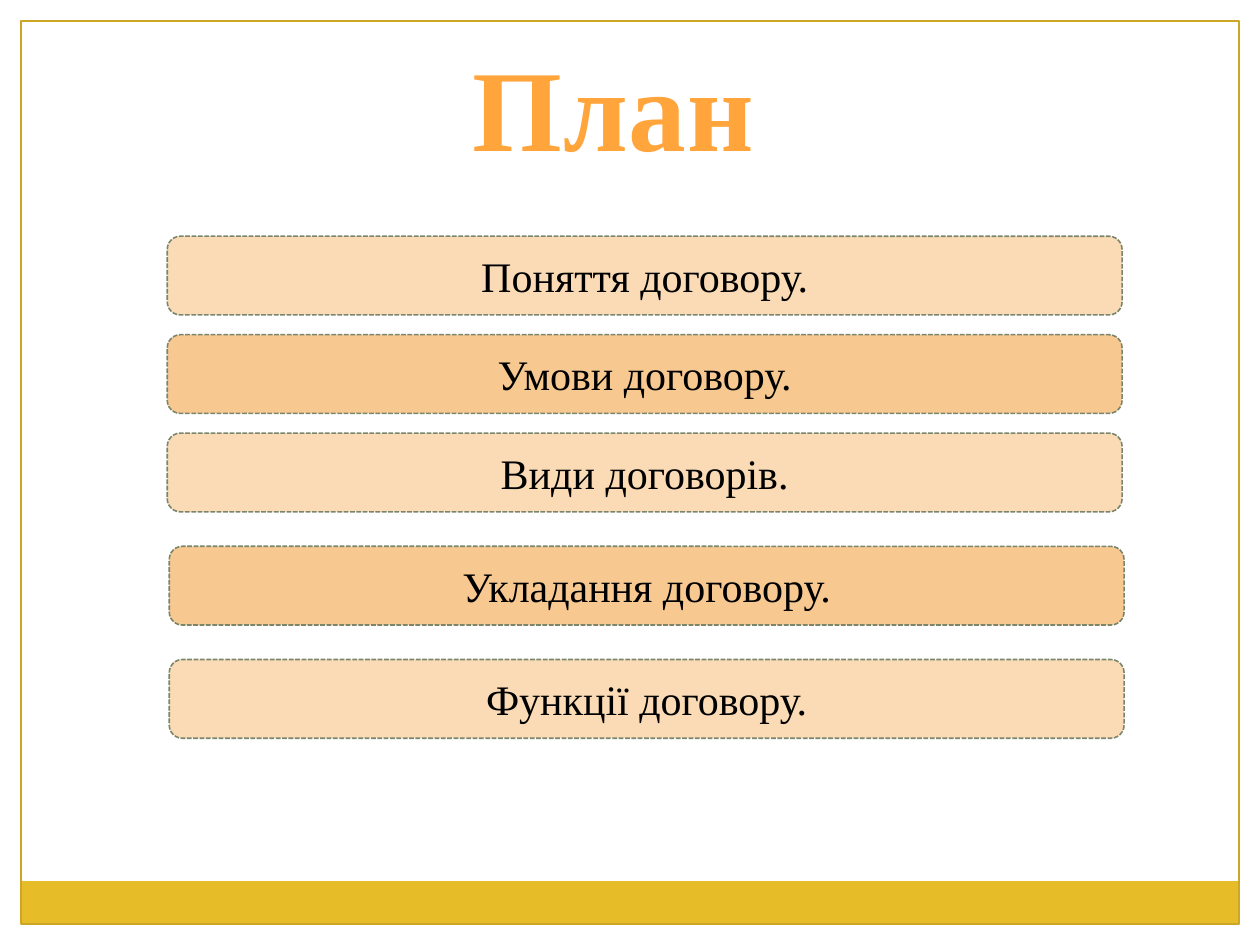
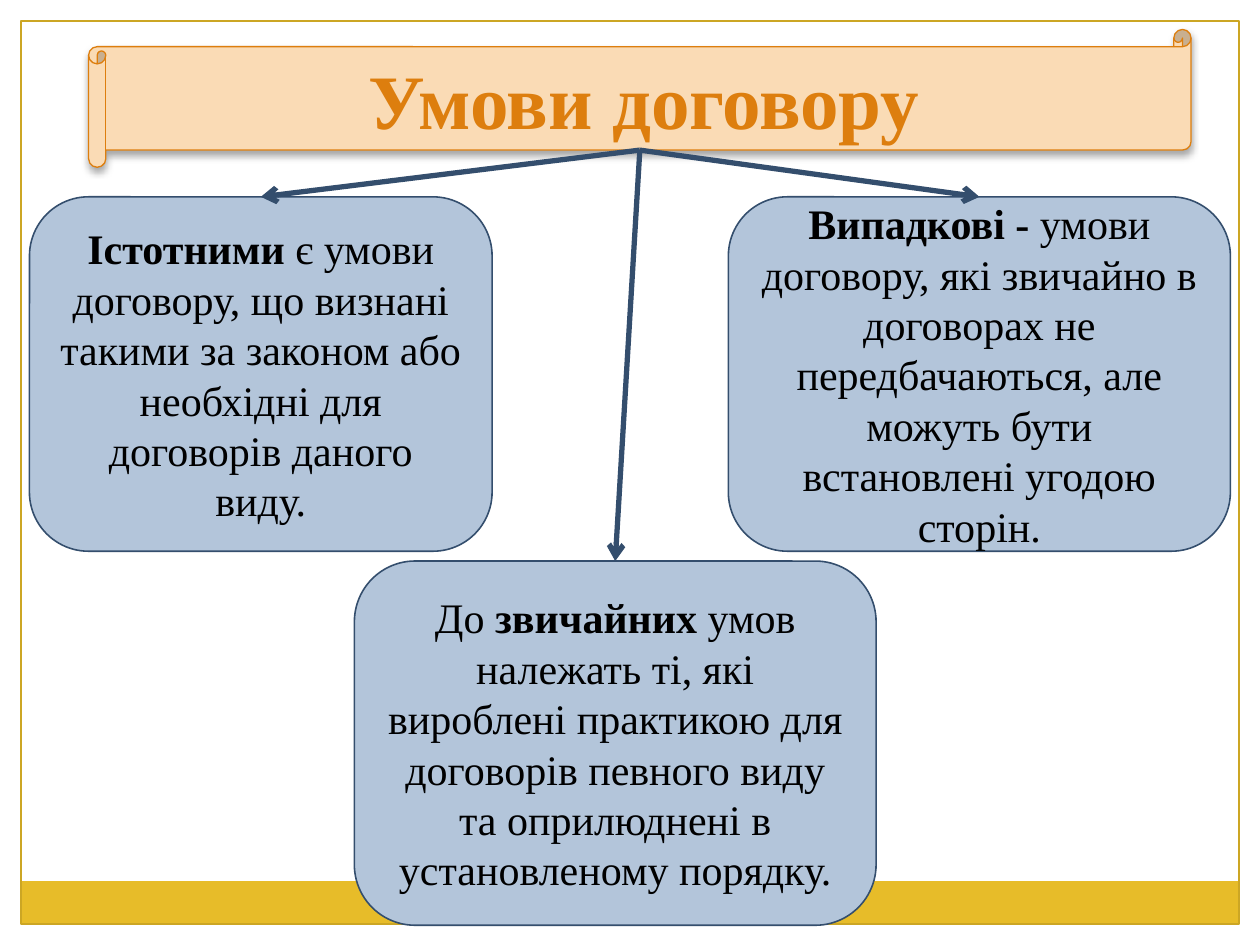
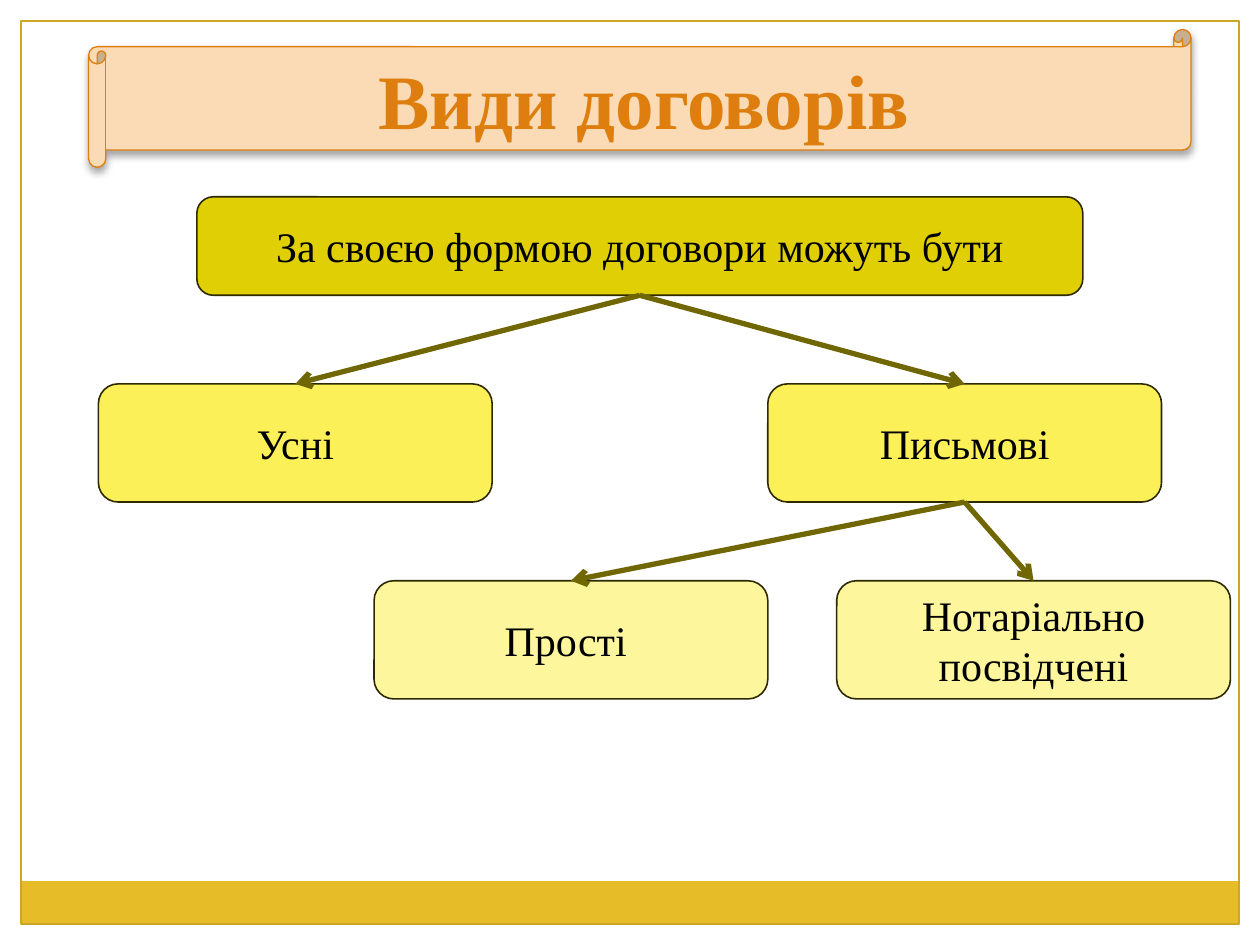
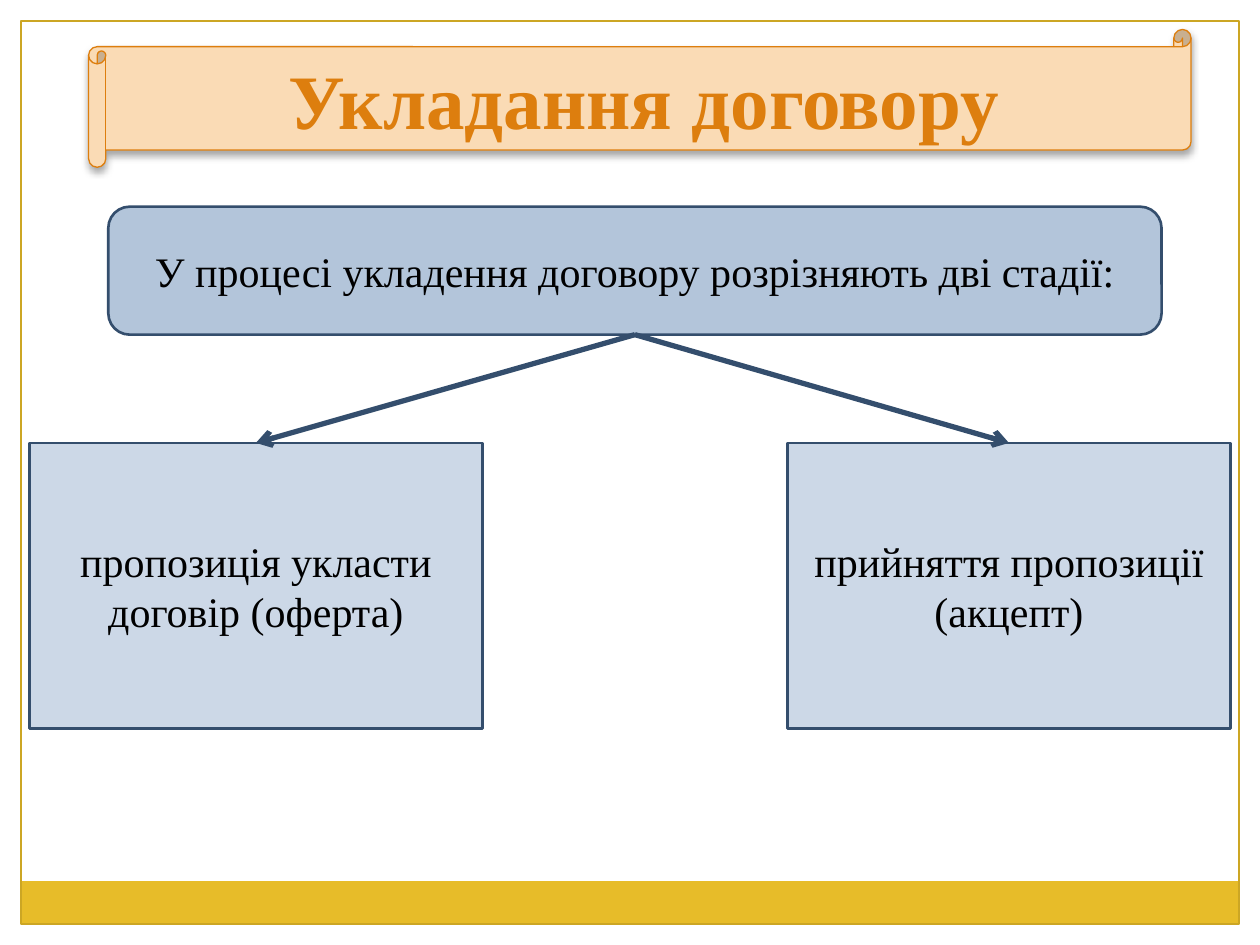
from dataclasses import dataclass

from lxml.etree import SubElement
from pptx import Presentation
from pptx.dml.color import RGBColor
from pptx.enum.dml import MSO_LINE
from pptx.enum.shapes import MSO_CONNECTOR, MSO_SHAPE as SHAPE
from pptx.enum.text import MSO_ANCHOR, MSO_AUTO_SIZE, PP_ALIGN
from pptx.oxml.ns import qn
from pptx.util import Inches, Pt

COLUMNS, ROWS = 128, 96
UNIT = Inches(10) // COLUMNS


@dataclass(frozen=True)
class Theme:
    """Colours, font and type sizes shared by all slides."""
    font: str = "Times New Roman"
    plan_size: float = 66
    title_size: float = 44
    body_size: float = 24
    thin: float = 0.75
    fine: float = 0.9
    medium: float = 1.5
    thick: float = 3
    black: str = "000000"
    white: str = "FFFFFF"
    band: str = "E7BC29"
    border: str = "CCA624"
    plan_top: str = "FFA53B"
    plan_bottom: str = "D3770B"
    peach: str = "FADBB5"
    apricot: str = "F8C891"
    sage: str = "7A866C"
    orange: str = "DD7E0E"
    blue: str = "B3C5DA"
    pale_blue: str = "CCD8E7"
    navy: str = "344E6D"
    gold: str = "DFCF04"
    yellow: str = "FCF059"
    pale_yellow: str = "FDF69C"
    olive: str = "706702"
    dark_olive: str = "2D2901"


@dataclass(frozen=True)
class Box:
    """A region measured in grid columns and rows."""
    left: float
    top: float
    width: float
    height: float

    def area(self, left, top, width, height):
        """Return a box placed relative to this one."""
        return Box(self.left + left, self.top + top, width, height)

    def emu(self):
        """Return left, top, width and height as slide lengths."""
        return [round(n * UNIT) for n in (self.left, self.top, self.width, self.height)]


THEME = Theme()
PAGE = Box(0, 0, COLUMNS, ROWS)
HEADING = Box(9, 3, 112, 14)
BODY = Box(3, 20, 122, 74)


def rgb(value):
    """Turn a hex string into a colour."""
    return RGBColor.from_string(value)


def write(shape, text, size=THEME.body_size, color=THEME.black, bold=False):
    """Write centred text, given as a string or as (text, bold) runs."""
    frame = shape.text_frame
    frame.word_wrap = True
    frame.vertical_anchor = MSO_ANCHOR.MIDDLE
    paragraph = frame.paragraphs[0]
    paragraph.alignment = PP_ALIGN.CENTER
    for words, strong in [(text, bold)] if isinstance(text, str) else text:
        run = paragraph.add_run()
        run.text = words
        run.font.name, run.font.size, run.font.bold = THEME.font, Pt(size), strong
        run.font.color.rgb = rgb(color)
    return paragraph.runs


def panel(slide, box, kind=SHAPE.ROUNDED_RECTANGLE, fill=None, line=None,
          weight=THEME.fine, dash=None):
    """Add a preset shape with the given fill and outline."""
    shape = slide.shapes.add_shape(kind, *box.emu())
    shape.shadow.inherit = False
    if fill:
        shape.fill.solid()
        shape.fill.fore_color.rgb = rgb(fill)
    else:
        shape.fill.background()
    if line:
        shape.line.color.rgb = rgb(line)
        shape.line.width = Pt(weight)
        if dash:
            shape.line.dash_style = dash
    else:
        shape.line.fill.background()
    return shape


def card(slide, box, text, **look):
    """Add a panel holding body text."""
    shape = panel(slide, box, **look)
    write(shape, text)
    return shape


def arrow(slide, parent, child, color, lift=0):
    """Link the bottom of one shape to the top of another."""
    link = slide.shapes.add_connector(MSO_CONNECTOR.STRAIGHT, 0, 0, 0, 0)
    link.begin_connect(parent, 2)
    link.end_connect(child, 0)
    link.begin_y = link.begin_y - round(lift * UNIT)
    link.line.color.rgb = rgb(color)
    link.line.width = Pt(THEME.thick)
    properties = link.element.spPr
    SubElement(properties.find(qn("a:ln")), qn("a:tailEnd"), type="arrow")
    SubElement(properties, qn("a:effectLst"))


def page_frame(slide, layout, box):
    """Build the margins, bottom band and border, and move them to the layout."""
    for holder in list(layout.placeholders):
        layout.shapes.element.remove(holder.element)
    margin, band = 2.13, 4.35
    inner_width, inner_height = box.width - 2 * margin, box.height - 2 * margin
    margins = [
        box.area(0, 0, box.width, margin),
        box.area(box.width - margin, 0, margin, box.height),
        box.area(0, 0, margin, box.height),
    ]
    pieces = [panel(slide, edge, SHAPE.RECTANGLE, THEME.white) for edge in margins]
    pieces.append(panel(
        slide, box.area(margin, box.height - margin - band, inner_width, band),
        SHAPE.RECTANGLE, THEME.band))
    pieces.append(panel(
        slide, box.area(margin, margin, inner_width, inner_height),
        SHAPE.RECTANGLE, line=THEME.border, weight=THEME.thin))
    for piece in pieces:
        layout.shapes.element.append(piece.element)


def scroll_title(slide, box, text):
    """Add the scroll that carries a slide's title."""
    scroll = panel(slide, box, SHAPE.HORIZONTAL_SCROLL, THEME.peach, THEME.orange, THEME.thin)
    effects = scroll.element.spPr.find(qn("a:effectLst"))
    shadow = SubElement(effects, qn("a:outerShdw"), blurRad=str(Pt(4)), dist=str(Pt(2)),
                        dir="5400000", rotWithShape="0")
    shade = SubElement(shadow, qn("a:srgbClr"), val=THEME.black)
    SubElement(shade, qn("a:alpha"), val="35000")
    write(scroll, text, size=THEME.title_size, color=THEME.orange, bold=True)
    letters = scroll.element.find(".//" + qn("a:rPr"))
    outline = SubElement(letters, qn("a:ln"), w=str(Pt(1)))
    SubElement(SubElement(outline, qn("a:solidFill")), qn("a:srgbClr"), val=THEME.dark_olive)
    letters.insert(0, outline)
    return scroll


def plan_title(slide, box, text):
    """Add the large gradient heading of the plan."""
    heading = slide.shapes.add_textbox(*box.emu())
    run = write(heading, text, size=THEME.plan_size, bold=True)[0]
    heading.text_frame.word_wrap = False
    heading.text_frame.auto_size = MSO_AUTO_SIZE.SHAPE_TO_FIT_TEXT
    heading.text_frame.vertical_anchor = MSO_ANCHOR.TOP
    fill = run.font.fill
    fill.gradient()
    fill.gradient_angle = 270
    stops = zip(fill.gradient_stops, (0.25, 1), (THEME.plan_top, THEME.plan_bottom))
    for stop, position, color in stops:
        stop.position = position
        stop.color.rgb = rgb(color)
    heading.element.find(".//" + qn("a:rPr")).set("spc", "50")


def plan(slide, box):
    """List the topics as bars in alternating colours."""
    plan_title(slide, box.area(46.5, 3, 31.6, 15.5), "План")
    topics = [
        (17, 24, "Поняття договору."),
        (17, 34, "Умови договору."),
        (17, 44, "Види договорів."),
        (17.2, 55.5, "Укладання договору."),
        (17.2, 67, "Функції договору."),
    ]
    for index, (left, top, topic) in enumerate(topics):
        card(slide, box.area(left, top, 97, 8), topic,
             fill=(THEME.peach, THEME.apricot)[index % 2],
             line=THEME.sage, dash=MSO_LINE.SQUARE_DOT)


def terms(slide, box):
    """Show the three kinds of contract terms below the title."""
    title = scroll_title(slide, HEADING, "Умови договору")
    essential = [
        ("Істотними ", True),
        ("є умови договору, що визнані такими за законом або необхідні для "
         "договорів даного виду.", False),
    ]
    usual = [
        ("До ", False),
        ("звичайних", True),
        (" умов належать тi, якi вироблені практикою для договорів певного виду "
         "та оприлюднені в установленому порядку.", False),
    ]
    incidental = [
        ("Випадкові - ", True),
        ("умови договору, якi звичайно в договорах не передбачаються, але "
         "можуть бути встановленi угодою сторiн.", False),
    ]
    places = [
        (box.area(0, 0, 47, 36), essential),
        (box.area(33, 37, 53, 37), usual),
        (box.area(71, 0, 51, 36), incidental),
    ]
    cards = [card(slide, place, text, fill=THEME.blue, line=THEME.navy)
             for place, text in places]
    for term in cards:
        arrow(slide, title, term, THEME.navy, lift=HEADING.height / 8)


def kinds(slide, box):
    """Draw the tree of contract forms."""
    scroll_title(slide, HEADING, "Види договорів")

    def node(left, top, text, fill, width=40, height=12):
        """Add one node of the tree."""
        return card(slide, box.area(left, top, width, height), text,
                    fill=fill, line=THEME.dark_olive)

    form = node(17, 0, "За своєю формою договори можуть бути", THEME.gold, 90, 10)
    oral = node(7, 19, "Усні", THEME.yellow)
    written = node(75, 19, "Письмові", THEME.yellow)
    simple = node(35, 39, "Прості ", THEME.pale_yellow)
    notarial = node(82, 39, "Нотаріально посвідчені", THEME.pale_yellow)
    for parent, child in [(form, oral), (form, written), (written, simple), (written, notarial)]:
        arrow(slide, parent, child, THEME.olive)


def conclusion(slide, box):
    """Show the two stages of concluding a contract."""
    scroll_title(slide, HEADING, "Укладання договору")
    process = card(slide, box.area(8, 1, 107, 13),
                   "У процесі укладення договору розрiзняють двi стадiї:",
                   fill=THEME.blue, line=THEME.navy, weight=THEME.medium)
    stages = [
        (0, 46, "пропозицiя укласти договiр (оферта)"),
        (77, 45, "прийняття пропозицiї (акцепт)"),
    ]
    for left, width, text in stages:
        stage = card(slide, box.area(left, 25, width, 29), text, kind=SHAPE.RECTANGLE,
                     fill=THEME.pale_blue, line=THEME.navy, weight=THEME.medium)
        arrow(slide, process, stage, THEME.navy)


def main():
    """Build the presentation and save it."""
    deck = Presentation()
    deck.slide_width, deck.slide_height = Inches(10), Inches(7.5)
    blank = deck.slide_layouts[6]
    pages = [(plan, PAGE), (terms, BODY), (kinds, BODY), (conclusion, BODY)]
    for index, (build, box) in enumerate(pages):
        slide = deck.slides.add_slide(blank)
        if index == 0:
            page_frame(slide, blank, PAGE)
        build(slide, box)
    deck.save("out.pptx")


main()
